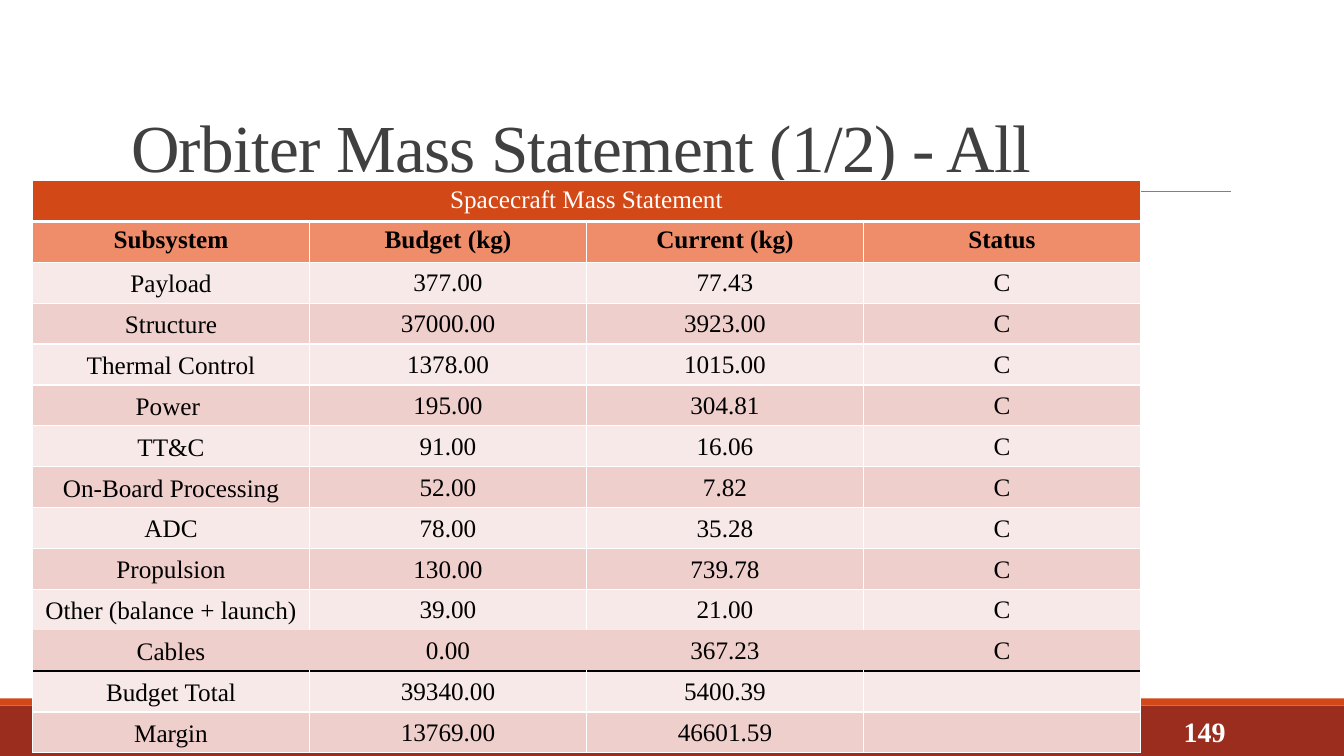
from lxml import etree
from pptx import Presentation
from pptx import util as u
from pptx.dml.color import RGBColor
from pptx.enum import shapes, text
from pptx.oxml.ns import qn

# Content
TITLE = "Orbiter Mass Statement (1/2) - All"
NUMBER = "149"
HEADING = "Spacecraft Mass Statement"
HEADS = ("Subsystem", "Budget (kg)", "Current (kg)", "Status")
MASSES = [
    ("Payload", "377.00", "77.43", "C"),
    ("Structure", "37000.00", "3923.00", "C"),
    ("Thermal Control", "1378.00", "1015.00", "C"),
    ("Power ", "195.00", "304.81", "C"),
    ("TT&C", "91.00", "16.06", "C"),
    ("On-Board Processing", "52.00", "7.82", "C"),
    ("ADC", "78.00", "35.28", "C"),
    ("Propulsion", "130.00", "739.78", "C"),
    ("Other (balance + launch)", "39.00", "21.00", "C"),
    ("Cables", "0.00", "367.23", "C"),
    ("Budget Total", "39340.00", "5400.39", ""),
    ("Margin", "13769.00", "46601.59", ""),
]

# Format
FACE = "Times New Roman"
WHITE = RGBColor(0xFF, 0xFF, 0xFF)
BLACK = RGBColor(0, 0, 0)
INK = RGBColor(0x40, 0x40, 0x40)
GREY = RGBColor(0x80, 0x80, 0x80)
RUST = RGBColor(0x9B, 0x2D, 0x1F)
ORANGE = RGBColor(0xD3, 0x48, 0x17)
SALMON = RGBColor(0xEF, 0x8C, 0x6A)
PALE = RGBColor(0xF7, 0xE9, 0xE8)
PINK = RGBColor(0xEF, 0xCF, 0xCC)
WIDE, HIGH = u.Cm(33.87), u.Cm(19.05)
ROW, COL = u.Cm(1.03), u.Cm(6.98)
MID, LOW = text.MSO_ANCHOR.MIDDLE, text.MSO_ANCHOR.BOTTOM
CENTER, RIGHT = text.PP_ALIGN.CENTER, text.PP_ALIGN.RIGHT


def apply(item, look):
    for name, value in look.items():
        setattr(item, name, value)


def write(para, words, size, color, bold=False, align=None):
    para.alignment = align
    run = para.add_run()
    run.text = words
    apply(run.font, {"name": FACE, "size": u.Pt(size), "bold": bold})
    run.font.color.rgb = color
    return run


def edge(cell, side, color, width=1):
    line = etree.SubElement(cell._tc.get_or_add_tcPr(), qn("a:ln" + side),
                            w=str(u.Pt(width)))
    if color is None:
        etree.SubElement(line, qn("a:noFill"))
    else:
        fill = etree.SubElement(line, qn("a:solidFill"))
        etree.SubElement(fill, qn("a:srgbClr"), val=str(color))


def main():
    deck = Presentation()
    deck.slide_width, deck.slide_height = WIDE, HIGH
    slide = deck.slides.add_slide(deck.slide_layouts[5])
    parts = slide.shapes

    # Footer bands and rule
    for top, tall, color in ((17.78, 1.27, RUST), (17.6, 0.18, ORANGE)):
        band = parts.add_shape(shapes.MSO_SHAPE.RECTANGLE, 0, u.Cm(top),
                               WIDE, u.Cm(tall))
        band.shadow.inherit = False
        band.fill.solid()
        band.fill.fore_color.rgb = color
        band.line.fill.background()
    rule = parts.add_connector(shapes.MSO_CONNECTOR.STRAIGHT, u.Cm(3.33),
                               u.Cm(4.83), u.Cm(31.01), u.Cm(4.83))
    rule.line.color.rgb = GREY
    rule.line.width = u.Pt(0.5)
    etree.SubElement(rule._element.spPr, qn("a:effectLst"))

    # Title
    title = parts.title
    apply(title, {"left": u.Cm(3.05), "top": u.Cm(0.79),
                  "width": u.Cm(27.94), "height": u.Cm(4.04)})
    apply(title.text_frame, {"vertical_anchor": LOW, "word_wrap": True,
                             "auto_size": text.MSO_AUTO_SIZE.NONE})
    para = title.text_frame.paragraphs[0]
    para.line_spacing = 0.85
    run = write(para, TITLE, 48, INK, align=text.PP_ALIGN.LEFT)
    run.font._element.set("spc", "-50")

    # Slide number
    box = parts.add_textbox(u.Cm(27.51), u.Cm(17.93), u.Cm(3.63), u.Cm(1.02))
    apply(box.text_frame, {"word_wrap": True, "vertical_anchor": MID})
    write(box.text_frame.paragraphs[0], NUMBER, 20, WHITE, True, RIGHT)

    # Mass table
    rows = [(HEADING, "", "", ""), HEADS] + MASSES
    cables = len(rows) - 3
    table = parts.add_table(len(rows), len(HEADS), u.Cm(0.82), u.Cm(4.55),
                            COL * len(HEADS), ROW * len(rows)).table
    for col in table.columns:
        col.width = COL
    for r, row in enumerate(rows):
        table.rows[r].height = ROW
        fill = (ORANGE, SALMON)[r] if r < 2 else (PALE, PINK)[r % 2]
        side = None if r == cables else WHITE
        above = {cables: None, cables + 1: BLACK}.get(r, WHITE)
        below = {cables - 1: None, cables: BLACK}.get(r, WHITE)
        for c, words in enumerate(row):
            cell = table.cell(r, c)
            if r > 1 and words:
                apply(cell, {"margin_left": u.Cm(0.03),
                             "margin_right": u.Cm(0.03),
                             "margin_top": u.Cm(0.03),
                             "margin_bottom": u.Cm(0 if c else 0.13),
                             "vertical_anchor": MID if c else LOW})
            for name, color in zip("LRTB", (side, side, above, below)):
                thick = (r, name) in ((0, "B"), (1, "T"))
                edge(cell, name, color, 3 if thick else 1)
            cell.fill.solid()
            cell.fill.fore_color.rgb = fill
            if words:
                write(cell.text_frame.paragraphs[0], words, 18,
                      BLACK if r else WHITE, r == 1, CENTER)
    table.cell(0, 0).merge(table.cell(0, len(HEADS) - 1))

    deck.save("out.pptx")


if __name__ == "__main__":
    main()
